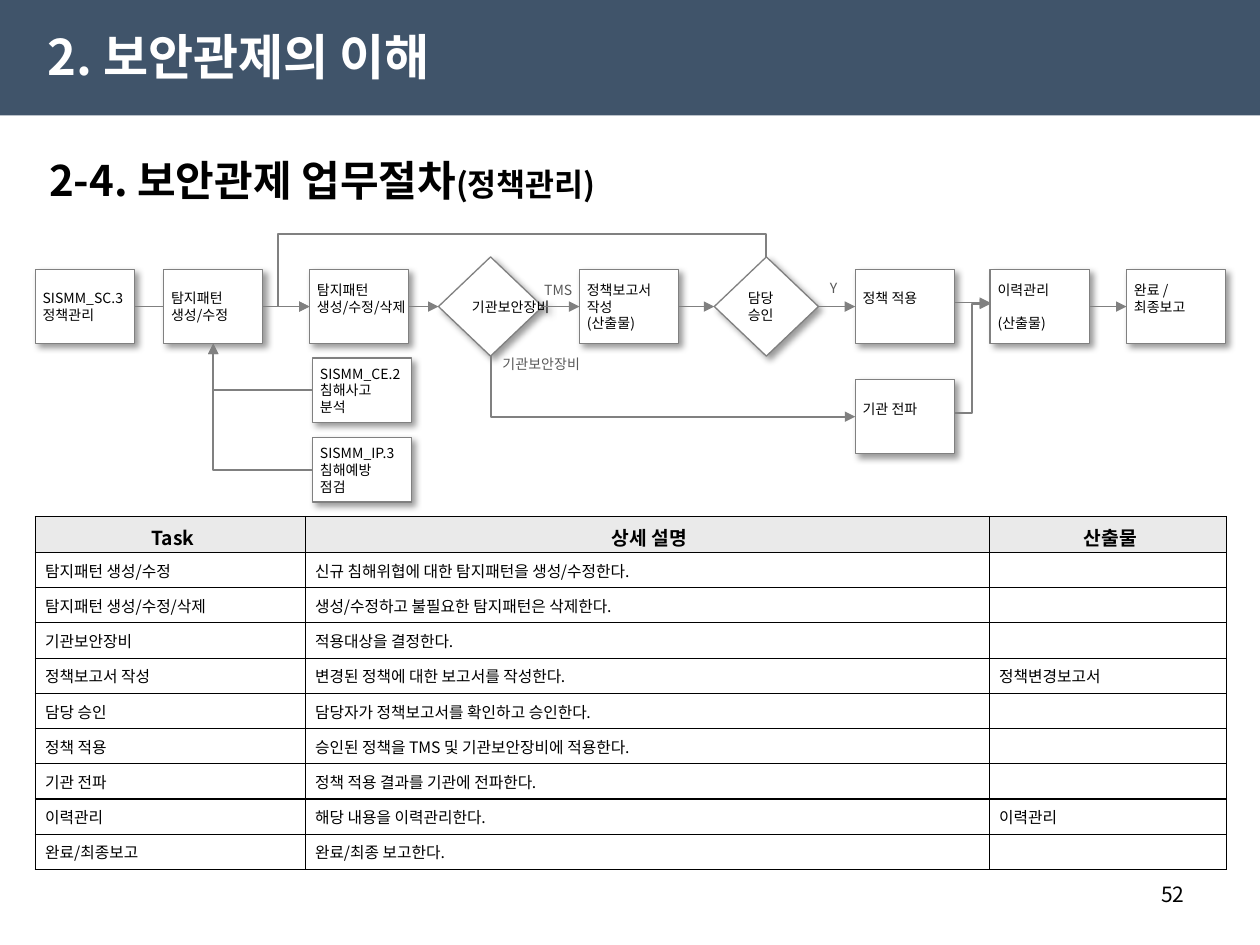
from lxml.etree import SubElement
from pptx import Presentation
from pptx.dml.color import RGBColor
from pptx.enum.shapes import MSO_CONNECTOR as Line, MSO_SHAPE as Shape
from pptx.enum.text import MSO_ANCHOR as Anchor, PP_ALIGN as Align
from pptx.oxml.ns import qn
from pptx.util import Cm, Pt

COLORS = {
    "banner": "40546A", "white": "FFFFFF", "black": "000000",
    "line": "808080", "label": "595959", "header": "EAEAEA",
}
BLANK_LINE = 0.33


def rgb(name):
    return RGBColor.from_string(COLORS[name])


class FlowSlide:
    font = "Noto Sans CJK KR"

    def __init__(self, deck):
        self.slide = deck.slides.add_slide(deck.slide_layouts[6])
        self.shapes = self.slide.shapes

    def style(self, paragraph, size, color="black", bold=False, align=Align.LEFT):
        paragraph.alignment = align
        font = paragraph.font
        font.size, font.bold, font.name = Pt(size), bold, self.font
        font.color.rgb = rgb(color)
        defaults = paragraph._p.pPr.find(qn("a:defRPr"))
        SubElement(defaults, qn("a:ea"), typeface=self.font)
        if not paragraph.runs:
            SubElement(paragraph._p, qn("a:endParaRPr"), sz=str(size * 100))

    def banner(self, width, height):
        bar = self.shapes.add_shape(Shape.RECTANGLE, 0, 0, Cm(width), Cm(height))
        bar.shadow.inherit = False
        bar.fill.solid()
        bar.fill.fore_color.rgb = rgb("banner")
        bar.line.fill.background()

    def text(self, words, x, y, w, h, size, color="black", bold=False,
             align=Align.LEFT, anchor=Anchor.TOP, wrap=True):
        frame = self.shapes.add_textbox(Cm(x), Cm(y), Cm(w), Cm(h)).text_frame
        frame.word_wrap, frame.vertical_anchor = wrap, anchor
        paragraph = frame.paragraphs[0]
        paragraph.text = words
        self.style(paragraph, size, color, bold, align)
        return paragraph

    def step(self, lines, x, y=5.43, w=2.0, h=1.5, kind=Shape.RECTANGLE, lift=0, gap=0):
        """A flow step; lift raises its text, gap parts its lines (both in cm)."""
        box = self.shapes.add_shape(kind, Cm(x), Cm(y), Cm(w), Cm(h))
        box.shadow.inherit = False
        box.fill.solid()
        box.fill.fore_color.rgb = rgb("white")
        box.line.color.rgb = rgb("line")
        box.line.width = Pt(0.75)
        effects = box._element.spPr.find(qn("a:effectLst"))
        shadow = SubElement(effects, qn("a:outerShdw"), blurRad=str(Pt(4)),
                            dist=str(Pt(3)), dir="2700000", algn="tl", rotWithShape="0")
        tint = SubElement(shadow, qn("a:srgbClr"), val=COLORS["black"])
        SubElement(tint, qn("a:alpha"), val="40000")

        frame = box.text_frame
        frame.word_wrap, frame.vertical_anchor = False, Anchor.MIDDLE
        frame.margin_left = frame.margin_right = Cm(0.15)
        frame.margin_top, frame.margin_bottom = Cm(0.08), Cm(0.08 + lift)
        frame.text = "\n".join(lines)
        for number, paragraph in enumerate(frame.paragraphs):
            if number and gap:
                paragraph.space_before = Cm(gap)
            self.style(paragraph, 8)
        return box

    def decision(self, lines, x):
        return self.step(lines, x, 5.18, 2.1, 2.0, Shape.FLOWCHART_DECISION)

    def connector(self, kind, x1, y1, x2, y2, arrow=True):
        link = self.shapes.add_connector(kind, Cm(x1), Cm(y1), Cm(x2), Cm(y2))
        link.line.color.rgb = rgb("line")
        link.line.width = Pt(1)
        if arrow:
            SubElement(link.line._get_or_add_ln(), qn("a:headEnd"), type="triangle")
        SubElement(link._element.spPr, qn("a:effectLst"))
        return link

    def join(self, target, source, arrow=True):
        link = self.connector(Line.STRAIGHT, 0, 0, 1, 1, arrow)
        link.begin_connect(target, 1)
        link.end_connect(source, 3)

    def elbow(self, start, end, preset, turn, flip=None, adjust=()):
        """An elbow whose arrowhead sits at start; turn is in degrees."""
        (x1, y1), (x2, y2) = start, end
        w, h = abs(x2 - x1), abs(y2 - y1)
        if turn % 180:
            w, h = h, w
        left, top = (x1 + x2 - w) / 2, (y1 + y2 - h) / 2
        link = self.connector(Line.ELBOW, left, top, left + w, top + h)
        properties = link._element.spPr
        frame = properties.find(qn("a:xfrm"))
        frame.set("rot", str(turn * 60000))
        if flip:
            frame.set(flip, "1")
        geometry = properties.find(qn("a:prstGeom"))
        geometry.set("prst", preset)
        guides = geometry.find(qn("a:avLst"))
        for number, value in enumerate(adjust, 1):
            SubElement(guides, qn("a:gd"), name=f"adj{number}", fmla=f"val {value}")

    def table(self, rows, x, y, widths, row_height):
        grid = self.shapes.add_table(len(rows), len(widths), Cm(x), Cm(y),
                                     Cm(sum(widths)), Cm(row_height * len(rows))).table
        for column, width in zip(grid.columns, widths):
            column.width = Cm(width)
        for r, row in enumerate(rows):
            for c, words in enumerate(row):
                self.cell(grid.cell(r, c), words, header=r == 0)

    def cell(self, cell, words, header):
        cell.vertical_anchor = Anchor.MIDDLE
        cell.margin_left, cell.margin_right = Cm(0.2), Cm(0.1)
        cell.margin_top = cell.margin_bottom = Cm(0.13)
        paragraph = cell.text_frame.paragraphs[0]
        if words:
            paragraph.text = words
        if header:
            self.style(paragraph, 11, bold=True, align=Align.CENTER)
        else:
            self.style(paragraph, 9)
        properties = cell._tc.get_or_add_tcPr()
        for side in ("lnL", "lnR", "lnT", "lnB"):
            border = SubElement(properties, qn(f"a:{side}"), w=str(Pt(0.75)))
            fill = SubElement(border, qn("a:solidFill"))
            SubElement(fill, qn("a:srgbClr"), val=COLORS["black"])
        if header:
            cell.fill.solid()
            cell.fill.fore_color.rgb = rgb("header")
        else:
            cell.fill.background()


def main():
    deck = Presentation()
    deck.slide_width, deck.slide_height = Cm(25.4), Cm(19.05)
    page = FlowSlide(deck)

    # Headings
    page.banner(25.4, 2.33)
    page.text("2. 보안관제의 이해", 0.71, 0.33, 12, 1.6, 28, "white", True, anchor=Anchor.MIDDLE)
    heading = page.text("2-4. 보안관제 업무절차", 0.74, 2.92, 23.95, 1.4, 24,
                        bold=True, anchor=Anchor.MIDDLE)
    topic = heading.add_run()
    topic.text = "(정책관리)"
    topic.font.size = Pt(18)

    # Flow steps
    policy = page.step(["SISMM_SC.3", "정책관리"], 0.71)
    pattern = page.step(["탐지패턴", "생성/수정"], 3.3)
    edit = page.step(["탐지패턴", "생성/수정/삭제"], 6.24, lift=BLANK_LINE)
    device = page.decision(["기관보안장비"], 8.84)
    report = page.step(["정책보고서\v작성", "(산출물)"], 11.68)
    approval = page.decision(["담당", "승인"], 14.4)
    apply_policy = page.step(["정책 적용"], 17.24, lift=BLANK_LINE)
    page.step(["기관 전파"], 17.24, 7.65, lift=BLANK_LINE)
    history = page.step(["이력관리", "(산출물)"], 19.96, gap=BLANK_LINE)
    finish = page.step(["완료 /", "최종보고"], 22.71, lift=BLANK_LINE)
    page.step(["SISMM_CE.2", "침해사고", "분석"], 6.3, 7.22, h=1.3)
    page.step(["SISMM_IP.3", "침해예방", "점검"], 6.3, 8.82, h=1.3)

    # Straight links
    page.join(pattern, policy, arrow=False)
    for source, target in ((pattern, edit), (edit, device), (device, report),
                           (report, approval), (approval, apply_policy), (history, finish)):
        page.join(target, source)
    page.connector(Line.STRAIGHT, 19.96, 6.1, 19.24, 6.1)

    # Elbow links
    for feed_y in (9.47, 7.87):
        page.elbow((4.3, 6.93), (6.3, feed_y), "bentConnector2", 270, "flipH")
    page.elbow((17.24, 8.4), (9.89, 7.18), "bentConnector2", 180)
    page.elbow((19.96, 6.13), (19.24, 8.33), "bentConnector3", 180, "flipV", [50000])
    page.elbow((6.24, 6.18), (15.45, 5.18), "bentConnector4", 180, "flipH", [-6900, 147000])

    # Branch labels
    for words, x, y, w in (("TMS", 10.72, 5.56, 1.09), ("기관보안장비", 9.88, 7.04, 2.24),
                           ("Y", 16.48, 5.51, 0.69)):
        page.text(words, x, y, w, 0.61, 8, "label", wrap=False)

    # Task table
    page.table([
        ("Task", "상세 설명", "산출물"),
        ("탐지패턴 생성/수정", "신규 침해위협에 대한 탐지패턴을 생성/수정한다.", ""),
        ("탐지패턴 생성/수정/삭제", "생성/수정하고 불필요한 탐지패턴은 삭제한다.", ""),
        ("기관보안장비", "적용대상을 결정한다.", ""),
        ("정책보고서 작성", "변경된 정책에 대한 보고서를 작성한다.", "정책변경보고서"),
        ("담당 승인", "담당자가 정책보고서를 확인하고 승인한다.", ""),
        ("정책 적용", "승인된 정책을 TMS 및 기관보안장비에 적용한다.", ""),
        ("기관 전파", "정책 적용 결과를 기관에 전파한다.", ""),
        ("이력관리", "해당 내용을 이력관리한다.", "이력관리"),
        ("완료/최종보고", "완료/최종 보고한다.", ""),
    ], 0.71, 10.41, (5.44, 13.79, 4.78), 0.71)

    # Page number
    page.text("52", 18.21, 17.65, 5.92, 1.02, 12, align=Align.RIGHT)

    deck.save("out.pptx")


if __name__ == "__main__":
    main()
